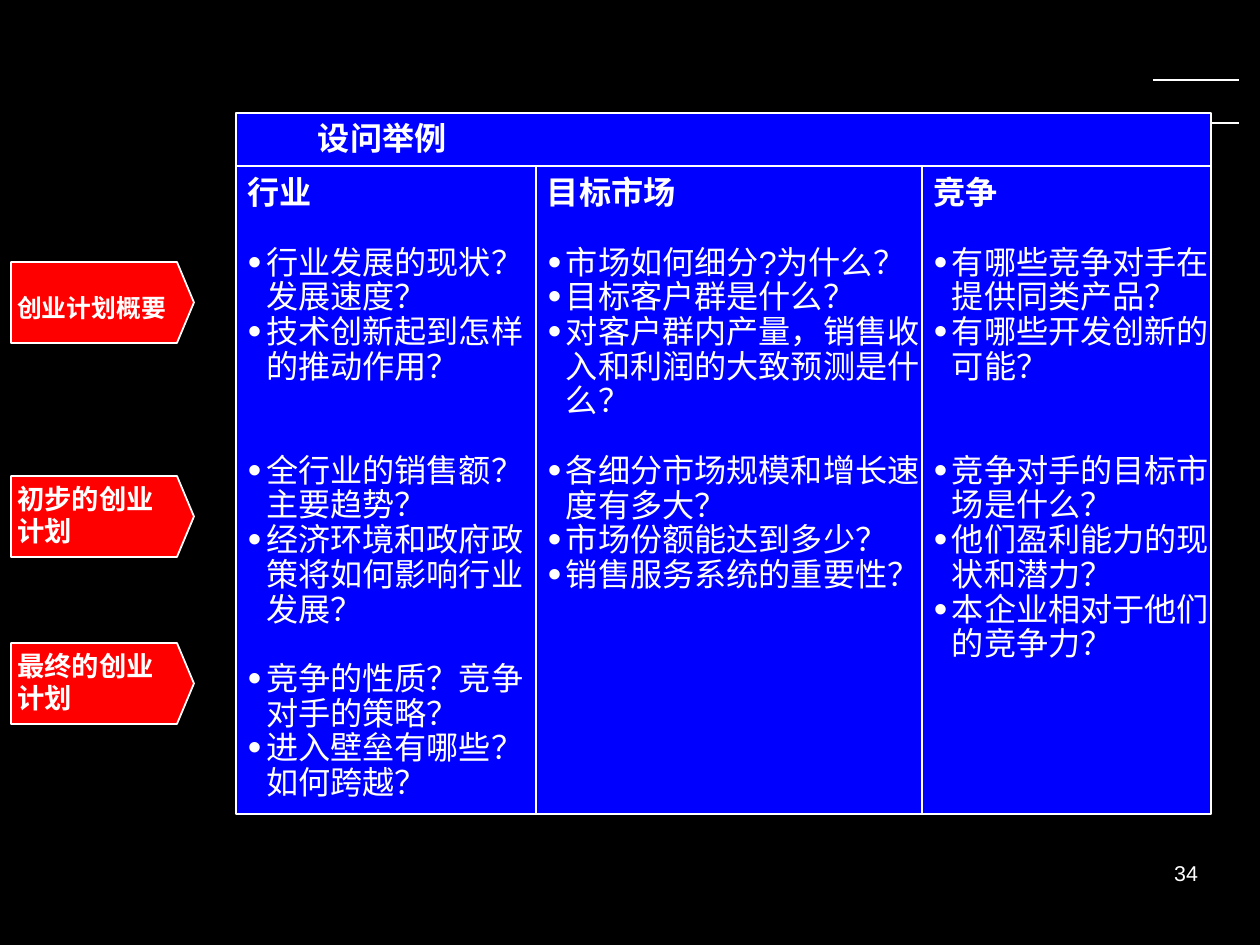
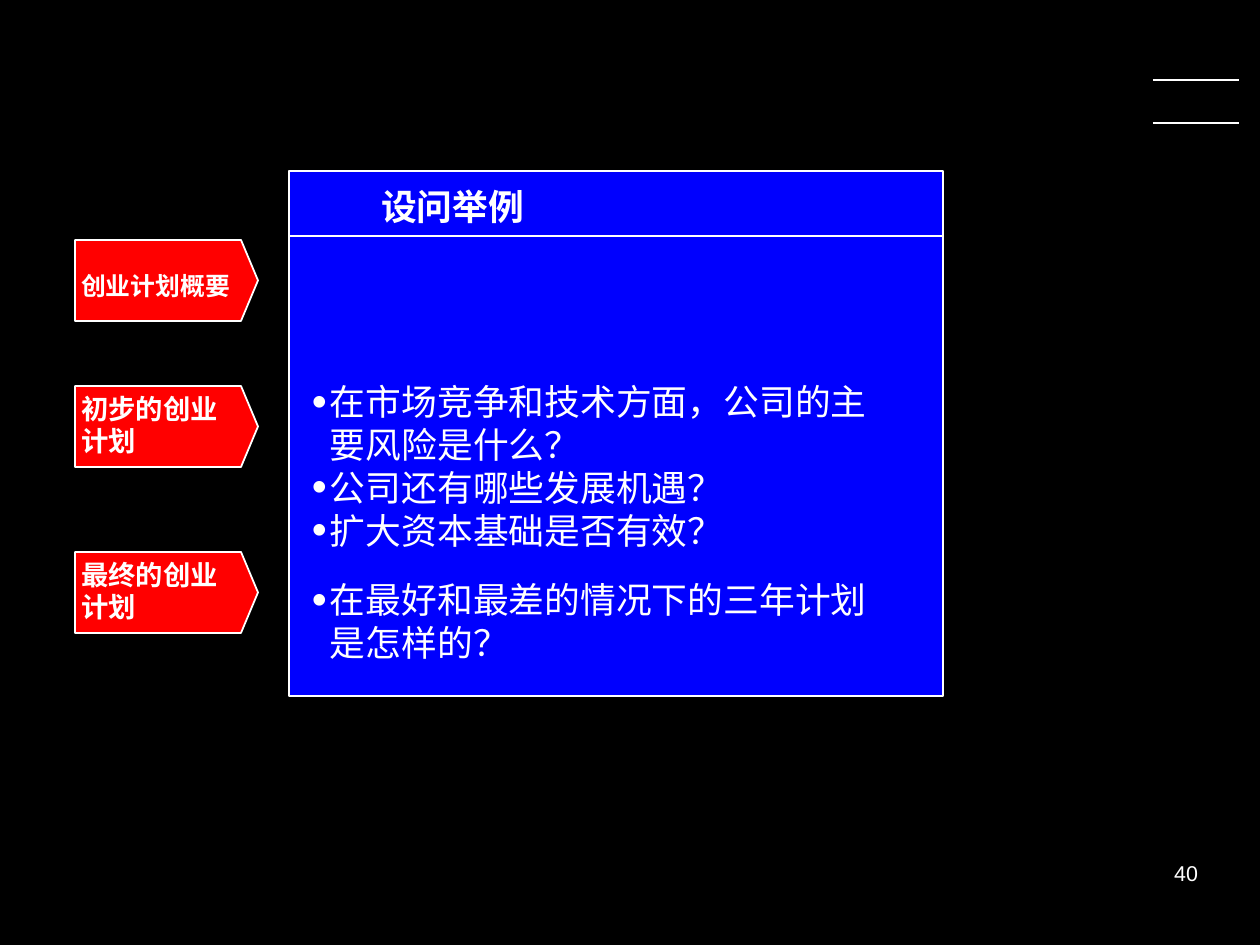
from lxml import etree
from pptx import Presentation
from pptx import util as u
from pptx.dml.color import RGBColor
from pptx.enum import shapes, text
from pptx.oxml.ns import qn

PX = 7112
BLACK = RGBColor(0x00, 0x00, 0x00)
WHITE = RGBColor(0xFF, 0xFF, 0xFF)
BLUE = RGBColor(0x00, 0x00, 0xFE)
RED = RGBColor(0xFF, 0x00, 0x00)
FACE = "Arial"
GAP = 19.4
TAGS = [
    ("创业计划概要", 13.9, u.Pt(25)),
    ("初步的创业计划", 15.3, None),
    ("最终的创业计划", 15.3, None),
]
COLS = [
    ("行业", [
        ("行业发展的现状？发展速度？", 1),
        ("技术创新起到怎样的推动作用？", 0),
        ("全行业的销售额？主要趋势？", 2),
        ("经济环境和政府政策将如何影响行业发展？", 0),
        ("竞争的性质？竞争对手的策略？", 1),
        ("进入壁垒有哪些？如何跨越？", 0),
    ]),
    ("目标市场", [
        ("市场如何细分?为什么？", 1),
        ("目标客户群是什么？", 0),
        ("对客户群内产量，销售收入和利润的大致预测是什么？", 0),
        ("各细分市场规模和增长速度有多大？", 1),
        ("市场份额能达到多少？", 0),
        ("销售服务系统的重要性？", 0),
    ]),
    ("竞争", [
        ("有哪些竞争对手在提供同类产品？", 1),
        ("有哪些开发创新的可能？", 0),
        ("竞争对手的目标市场是什么？", 2),
        ("他们盈利能力的现状和潜力？", 0),
        ("本企业相对于他们的竞争力？", 0),
    ]),
]
RISKS = [
    (380, ["在市场竞争和技术方面，公司的主要风险是什么？",
           "公司还有哪些发展机遇？", "扩大资本基础是否有效？"]),
    (578, ["在最好和最差的情况下的三年计划是怎样的？"]),
]


def px(*nums):
    return [u.Emu(n * PX) for n in nums]


def apply(item, **vals):
    for key, val in vals.items():
        setattr(item, key, val)


def frame(shape, pad=(0, 0, 0, 0), anchor=text.MSO_ANCHOR.TOP):
    left, top, right, bottom = px(*pad)
    body = shape.text_frame
    apply(body, word_wrap=True, vertical_anchor=anchor, margin_left=left,
          margin_top=top, margin_right=right, margin_bottom=bottom)
    return body


def dot(para):
    props = para._p.get_or_add_pPr()
    indent, hang = px(19, -18)
    props.set("marL", str(indent))
    props.set("indent", str(hang))
    tint = etree.SubElement(props, qn("a:buClr"))
    etree.SubElement(tint, qn("a:srgbClr")).set("val", str(WHITE))
    etree.SubElement(props, qn("a:buSzPct")).set("val", "120000")
    etree.SubElement(props, qn("a:buFont")).set("typeface", FACE)
    etree.SubElement(props, qn("a:buChar")).set("char", "•")


def write(body, words, size, bold=False, bullet=False, first=True, **form):
    para = body.paragraphs[0] if first else body.add_paragraph()
    if bullet:
        dot(para)
    apply(para, **{"alignment": text.PP_ALIGN.LEFT, **form})
    run = para.add_run()
    run.text = words
    run._r.get_or_add_rPr().set("lang", "zh-CN")
    apply(run.font, name=FACE, size=u.Pt(size), bold=bold)
    run.font.color.rgb = WHITE


def box(slide, area, pad=(0, 0, 0, 0)):
    return frame(slide.shapes.add_textbox(*px(*area)), pad)


def block(slide, kind, area, fill):
    shape = slide.shapes.add_shape(kind, *px(*area))
    shape.shadow.inherit = False
    shape.fill.solid()
    shape.fill.fore_color.rgb = fill
    shape.line.color.rgb = WHITE
    shape.line.width = u.Pt(1)
    return shape


def rule(slide, *ends):
    line = slide.shapes.add_connector(shapes.MSO_CONNECTOR.STRAIGHT, *px(*ends))
    line.line.color.rgb = WHITE
    line.line.width = u.Pt(1)
    etree.SubElement(line._element.spPr, qn("a:effectLst"))


def tag(slide, left, top, words, size, pitch):
    shape = block(slide, shapes.MSO_SHAPE.PENTAGON, (left, top, 183, 81), RED)
    shape.adjustments[0] = 0.21
    body = frame(shape, (6, 4, 16, 8), text.MSO_ANCHOR.MIDDLE)
    write(body, words, size, bold=True, line_spacing=pitch)


def panel(slide, area, split, title, size):
    left, top, wide, high = area
    block(slide, shapes.MSO_SHAPE.RECTANGLE, area, BLUE)
    rule(slide, left, split, left + wide, split)
    write(box(slide, title), "设问举例", size, bold=True, line_spacing=0.9)


def page(deck, number, left, tops):
    slide = deck.slides.add_slide(deck.slide_layouts[6])
    for level in (80, 123):
        rule(slide, 1153, level, 1239, level)
    body = box(slide, (949, 854, 262, 39), (13, 6, 13, 6))
    write(body, number, 12, alignment=text.PP_ALIGN.RIGHT)
    for top, item in zip(tops, TAGS):
        tag(slide, left, top, *item)
    return slide


def ask(slide):
    panel(slide, (236, 113, 975, 701), 166, (318, 123, 303, 35), 18)
    edges = [236, 536, 922, 1211]
    for edge in edges[1:-1]:
        rule(slide, edge, 166, edge, 814)
    for left, right, (head, items) in zip(edges, edges[1:], COLS):
        body = box(slide, (left + 11, 177, right - left - 8, 630))
        write(body, head, 18, bold=True, line_spacing=0.9)
        for words, skip in items:
            write(body, words, 18, bullet=True, first=False,
                  line_spacing=0.9, space_before=u.Pt(skip * GAP))


def risk(slide):
    panel(slide, (289, 171, 654, 525), 236, (381, 190, 234, 39), 20)
    for top, items in RISKS:
        body = box(slide, (311, top, 568, 43 * (len(items) + 1)))
        for spot, words in enumerate(items):
            write(body, words, 20, bullet=True, first=spot == 0)


def main():
    deck = Presentation()
    deck.slide_width, deck.slide_height = px(1260, 945)
    back = deck.slide_master.background.fill
    back.solid()
    back.fore_color.rgb = BLACK
    ask(page(deck, "34", 11, (262, 476, 643)))
    risk(page(deck, "40", 75, (240, 386, 552)))
    deck.save("out.pptx")


if __name__ == "__main__":
    main()
